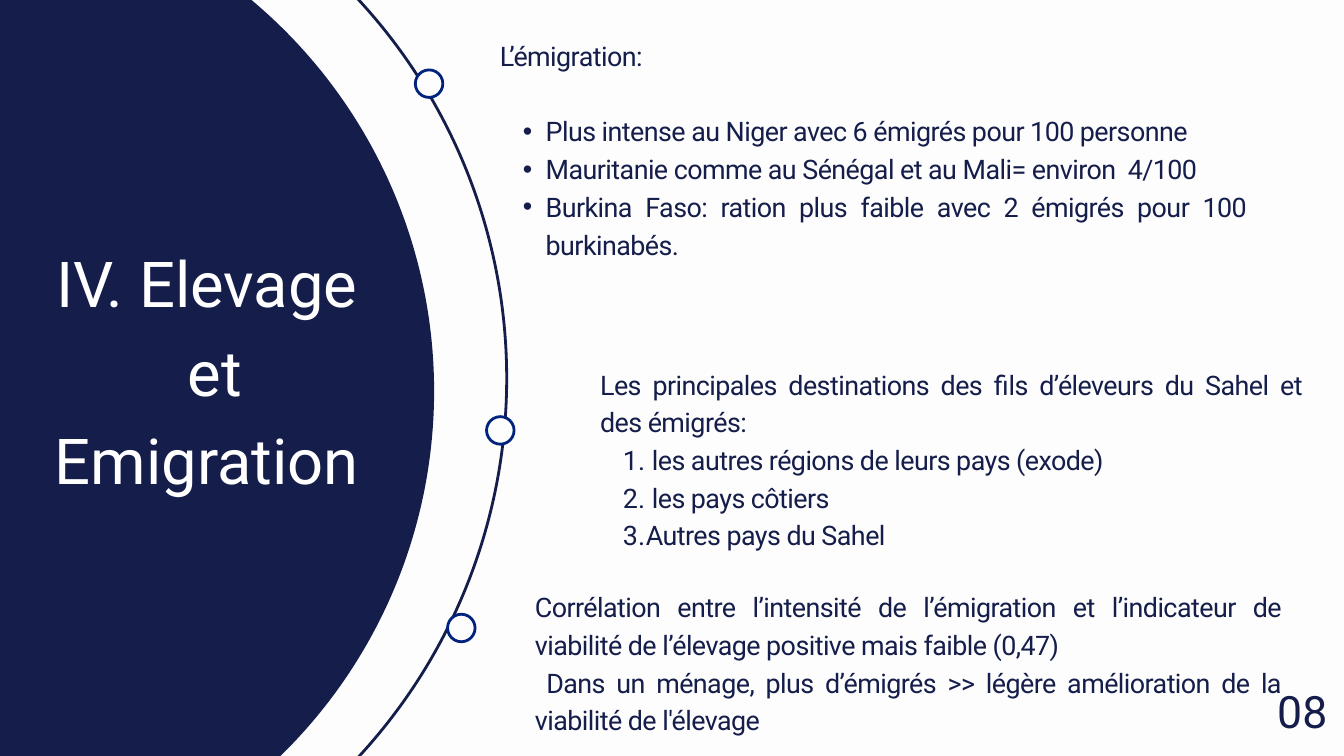
from lxml.etree import SubElement
from pptx import Presentation
from pptx.dml.color import RGBColor
from pptx.enum.shapes import MSO_SHAPE
from pptx.enum.text import PP_ALIGN
from pptx.oxml.ns import qn
from pptx.util import Inches, Pt

NAVY, BLUE, PAPER, WHITE = "151D4B", "01237D", "FDFDFD", "FFFFFF"


def color(hex_string):
    return RGBColor.from_string(hex_string)


def add_circle(left, top, diameter, fill=None, line=None):
    circle = slide.shapes.add_shape(
        MSO_SHAPE.OVAL, Inches(left), Inches(top), Inches(diameter), Inches(diameter))
    circle.shadow.inherit = False
    if fill:
        circle.fill.solid()
        circle.fill.fore_color.rgb = color(fill)
    else:
        circle.fill.background()
    if line:
        circle.line.color.rgb = color(line)
        circle.line.width = Pt(3)
    else:
        circle.line.fill.background()


presentation = Presentation()
presentation.slide_width = Inches(20)
presentation.slide_height = Inches(11.25)
slide = presentation.slides.add_slide(presentation.slide_layouts[6])
slide.background.fill.solid()
slide.background.fill.fore_color.rgb = color(PAPER)

# Large disc, its outer ring and the markers on the ring
add_circle(-9.06, -2.67, 16.6, line=NAVY)
add_circle(-8.72, -1.77, 15.18, fill=NAVY)
for left, top in [(6.18, 1.04), (7.24, 6.2), (6.66, 9.14)]:
    add_circle(left, top, 0.41, fill=PAPER, line=BLUE)

# Styles: size, line spacing, colour, alignment, letter spacing in 1/100 pt
title_style = (67.8, 94.9, WHITE, PP_ALIGN.CENTER, 0)
number_style = (47.8, 67, NAVY, PP_ALIGN.CENTER, 0)
body_style = (28.8, 40.4, NAVY, PP_ALIGN.JUSTIFY, -60)

# Each paragraph: list kind, space before in points, text
text_boxes = [
    ((0.28, 3.45, 5.6, 3.88), title_style, [
        (None, 0, "IV. Elevage"),
        (None, 0, " et Emigration")]),
    ((7.44, 0.51, 11.11, 4.95), body_style, [
        (None, 0, "L’émigration:"),
        ("bullet", 40.4, "Plus intense au Niger avec 6 émigrés pour 100 personne"),
        ("bullet", 0, "Mauritanie comme au Sénégal et au Mali= environ  4/100"),
        ("bullet", 0, "Burkina Faso: ration plus faible avec 2 émigrés pour 100 burkinabés.")]),
    ((18.76, 10.04, 1.24, 0.88), number_style, [(None, 0, "08")]),
    ((8.93, 5.4, 10.45, 2.74), body_style, [
        (None, 0, "Les principales destinations des fils d’éleveurs du Sahel et des émigrés:"),
        ("number", 0, " les autres régions de leurs pays (exode)"),
        ("number", 0, " les pays côtiers"),
        ("number", 0, "Autres pays du Sahel")]),
    ((7.96, 8.71, 11.11, 2.19), body_style, [
        (None, 0, "Corrélation entre l’intensité de l’émigration et l’indicateur de "
                  "viabilité de l’élevage positive mais faible (0,47)"),
        (None, 0, " Dans un ménage, plus d’émigrés >> légère amélioration de la "
                  "viabilité de l'élevage")]),
]

for position, style, paragraphs in text_boxes:
    size, line_spacing, font_color, alignment, letter_spacing = style
    frame = slide.shapes.add_textbox(*map(Inches, position)).text_frame
    frame.word_wrap = True
    frame.margin_left = frame.margin_right = frame.margin_top = frame.margin_bottom = 0
    for index, (list_kind, space_before, text) in enumerate(paragraphs):
        paragraph = frame.add_paragraph() if index else frame.paragraphs[0]
        run = paragraph.add_run()
        run.text = text
        if letter_spacing:
            run._r.get_or_add_rPr().set("spc", str(letter_spacing))
        if list_kind:
            paragraph.level = 1
            properties = paragraph._p.get_or_add_pPr()
            properties.set("marL", str(Inches(0.68)))
            properties.set("indent", str(Inches(-0.34)))
            if list_kind == "bullet":
                SubElement(properties, qn("a:buFont")).set("typeface", "Arial")
                SubElement(properties, qn("a:buChar")).set("char", "•")
            else:
                SubElement(properties, qn("a:buAutoNum")).set("type", "arabicPeriod")
        paragraph.alignment = alignment
        paragraph.line_spacing = Pt(line_spacing)
        if space_before:
            paragraph.space_before = Pt(space_before)
        paragraph.font.name = "Roboto"
        paragraph.font.size = Pt(size)
        paragraph.font.color.rgb = color(font_color)

presentation.save("out.pptx")
